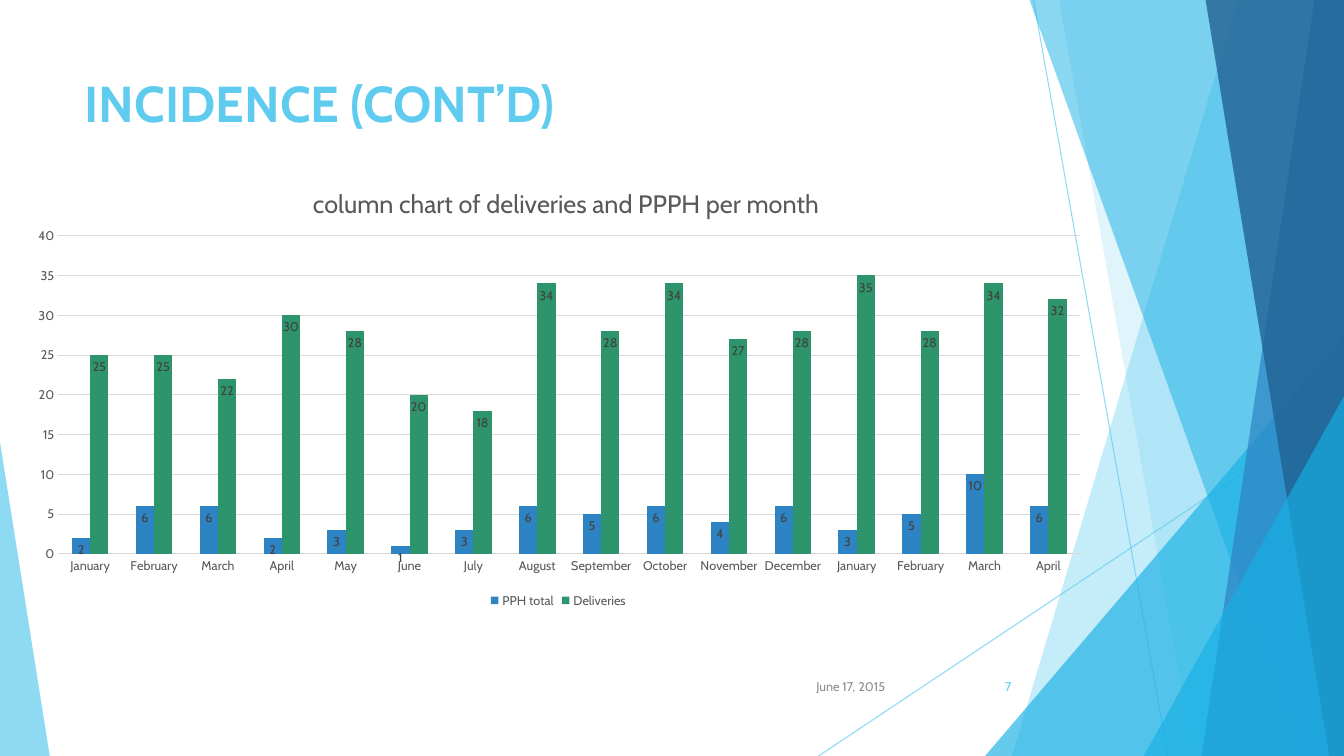
from dataclasses import dataclass

from lxml import etree
from pptx import Presentation
from pptx.chart.data import CategoryChartData
from pptx.dml.color import RGBColor
from pptx.enum.chart import XL_CHART_TYPE, XL_LABEL_POSITION, XL_LEGEND_POSITION, XL_TICK_MARK
from pptx.enum.shapes import MSO_CONNECTOR, MSO_SHAPE
from pptx.enum.text import MSO_ANCHOR, MSO_AUTO_SIZE, PP_ALIGN
from pptx.oxml.ns import qn
from pptx.util import Inches, Pt

COLUMNS = XL_CHART_TYPE.COLUMN_CLUSTERED
INSIDE_END = XL_LABEL_POSITION.INSIDE_END
LEGEND_BOTTOM = XL_LEGEND_POSITION.BOTTOM
NO_TICK = XL_TICK_MARK.NONE
STRAIGHT = MSO_CONNECTOR.STRAIGHT
TRIANGLE = MSO_SHAPE.ISOSCELES_TRIANGLE
FIXED_SIZE = MSO_AUTO_SIZE.NONE
TOP, MIDDLE = MSO_ANCHOR.TOP, MSO_ANCHOR.MIDDLE
LEFT, RIGHT = PP_ALIGN.LEFT, PP_ALIGN.RIGHT
TITLE_ONLY = 5


@dataclass(frozen=True)
class Theme:
    font: str = "Cabin"
    sky: str = "5FCBEF"
    cyan: str = "17B0E4"
    blue: str = "2E83C3"
    navy: str = "226292"
    green: str = "2E946B"
    axis_text: str = "595959"
    label_text: str = "404040"
    date_text: str = "8C8C8C"
    grid: str = "D9D9D9"
    title_size: float = 36
    chart_title_size: float = 18
    small_size: float = 9
    hairline: float = 0.75


MONTHS = ["January", "February", "March", "April", "May", "June", "July", "August",
          "September", "October", "November", "December",
          "January", "February", "March", "April"]
PPH_TOTAL = [2, 6, 6, 2, 3, 1, 3, 6, 5, 6, 4, 6, 3, 5, 10, 6]
DELIVERIES = [25, 25, 22, 30, 28, 20, 18, 34, 28, 34, 27, 28, 35, 28, 34, 32]


class SlideBuilder:
    def __init__(self, deck, theme):
        self.deck = deck
        self.theme = theme
        self.slide = deck.slides.add_slide(deck.slide_layouts[TITLE_ONLY])

    def x(self, share):
        return round(self.deck.slide_width * share / 100)

    def y(self, share):
        return round(self.deck.slide_height * share / 100)

    def box(self, left, top, width, height):
        return self.x(left), self.y(top), self.x(width), self.y(height)

    def set_opacity(self, element, opacity):
        for color in element.spPr.iter(qn("a:srgbClr")):
            etree.SubElement(color, qn("a:alpha"), val=str(opacity * 1000))

    def style_font(self, font, size, color, bold=False):
        font.name = self.theme.font
        font.size = Pt(size)
        font.bold = bold
        font.color.rgb = RGBColor.from_string(color)

    def style_line(self, line, color):
        line.color.rgb = RGBColor.from_string(color)
        line.width = Pt(self.theme.hairline)

    def tint(self, facet, color, opacity):
        facet.fill.solid()
        facet.fill.fore_color.rgb = RGBColor.from_string(color)
        facet.line.fill.background()
        facet.shadow.inherit = False
        self.set_opacity(facet.element, opacity)

    def ray(self, start, end):
        ray = self.slide.shapes.add_connector(
            STRAIGHT, self.x(start[0]), self.y(start[1]), self.x(end[0]), self.y(end[1]))
        self.style_line(ray.line, self.theme.sky)
        self.set_opacity(ray.element, 70)
        etree.SubElement(ray.element.spPr, qn("a:effectLst"))

    def band(self, top_edge, bottom_edge, color, opacity):
        outline = self.slide.shapes.build_freeform(self.x(top_edge), 0)
        corners = [(100, 0), (100, 100), (bottom_edge, 100)]
        outline.add_line_segments([(self.x(h), self.y(v)) for h, v in corners])
        self.tint(outline.convert_to_shape(), color, opacity)

    def wedge(self, left, top, width, apex, color, opacity):
        wedge = self.slide.shapes.add_shape(TRIANGLE, *self.box(left, top, width, 100 - top))
        wedge.adjustments[0] = apex
        self.tint(wedge, color, opacity)

    def add_text(self, frame, text, size, color, align, anchor, bold=False):
        frame.word_wrap = True
        frame.auto_size = FIXED_SIZE
        frame.vertical_anchor = anchor
        paragraph = frame.paragraphs[0]
        paragraph.alignment = align
        run = paragraph.add_run()
        run.text = text
        self.style_font(run.font, size, color, bold)

    def title(self, text, *area):
        heading = self.slide.shapes.title
        heading.left, heading.top, heading.width, heading.height = self.box(*area)
        self.add_text(heading.text_frame, text, self.theme.title_size, self.theme.sky,
                      LEFT, TOP, bold=True)

    def footer(self, text, color, *area):
        footer = self.slide.shapes.add_textbox(*self.box(*area))
        self.add_text(footer.text_frame, text, self.theme.small_size, color, RIGHT, MIDDLE)

    def place(self, parent, position, **shares):
        layout = parent.find(qn("c:layout"))
        if layout is None:
            layout = etree.Element(qn("c:layout"))
            parent.insert(position, layout)
        manual = etree.SubElement(layout, qn("c:manualLayout"))
        for tag, value in shares.items():
            etree.SubElement(manual, qn("c:" + tag), val=str(value))

    def column_chart(self, heading, months, series, *area):
        theme = self.theme
        data = CategoryChartData()
        data.categories = months
        for name, values, _ in series:
            data.add_series(name, values)
        chart = self.slide.shapes.add_chart(COLUMNS, *self.box(*area), data).chart
        self.style_font(chart.font, theme.small_size, theme.axis_text)

        chart.has_title = True
        run = chart.chart_title.text_frame.paragraphs[0].add_run()
        run.text = heading
        self.style_font(run.font, theme.chart_title_size, theme.axis_text)
        chart.chart_title.include_in_layout = False

        chart.has_legend = True
        chart.legend.position = LEGEND_BOTTOM
        chart.legend.include_in_layout = False
        self.style_font(chart.legend.font, theme.small_size, theme.axis_text)

        for axis in (chart.category_axis, chart.value_axis):
            axis.major_tick_mark = axis.minor_tick_mark = NO_TICK
            self.style_font(axis.tick_labels.font, theme.small_size, theme.axis_text)
        self.style_line(chart.category_axis.format.line, theme.grid)
        scale = chart.value_axis
        scale.minimum_scale, scale.maximum_scale, scale.major_unit = 0, 40, 5
        scale.format.line.fill.background()
        self.style_line(scale.major_gridlines.format.line, theme.grid)

        plot = chart.plots[0]
        plot.gap_width, plot.overlap, plot.vary_by_categories = 150, 0, False
        for bars, (_, _, color) in zip(plot.series, series):
            bars.format.fill.solid()
            bars.format.fill.fore_color.rgb = RGBColor.from_string(color)
            labels = bars.data_labels
            labels.show_value = True
            labels.position = INSIDE_END
            self.style_font(labels.font, theme.small_size, theme.label_text)

        chart_body = chart.element.find(qn("c:chart"))
        self.place(chart_body.find(qn("c:title")), 1,
                   xMode="edge", yMode="edge", x=0.27, y=0.04)
        self.place(chart_body.find(qn("c:plotArea")), 0, layoutTarget="inner",
                   xMode="edge", yMode="edge", x=0.04, y=0.16, w=0.94, h=0.71)


def main():
    deck = Presentation()
    deck.slide_width, deck.slide_height = Inches(13.33), Inches(7.5)
    theme = Theme()
    page = SlideBuilder(deck, theme)

    page.ray((76.9, 0), (86.9, 100))
    page.ray((100, 53.7), (60.9, 100))
    page.band(92.1, 75.3, theme.sky, 36)
    page.band(78.8, 88.8, theme.sky, 20)
    page.wedge(73.3, 44.4, 26.7, 1, theme.cyan, 66)
    page.band(76.6, 96.8, theme.cyan, 50)
    page.band(97.8, 89.4, theme.blue, 70)
    page.band(89.7, 98.9, theme.navy, 80)
    page.wedge(85.1, 52.4, 14.9, 1, theme.cyan, 66)
    page.wedge(0, 58.5, 3.7, 0, theme.sky, 70)

    page.title("INCIDENCE (CONT’D)", 5.55, 8.9, 70.5, 19.2)
    series = [("PPH total", PPH_TOTAL, theme.blue), ("Deliveries", DELIVERIES, theme.green)]
    page.column_chart("column chart of deliveries and PPPH per month", MONTHS, series,
                      1.1, 21.7, 80.9, 59.3)
    page.footer("June 17, 2015", theme.date_text, 59.1, 88.1, 7.5, 5.3)
    page.footer("7", theme.sky, 70.4, 88.1, 5.6, 5.3)

    deck.save("out.pptx")


if __name__ == "__main__":
    main()
